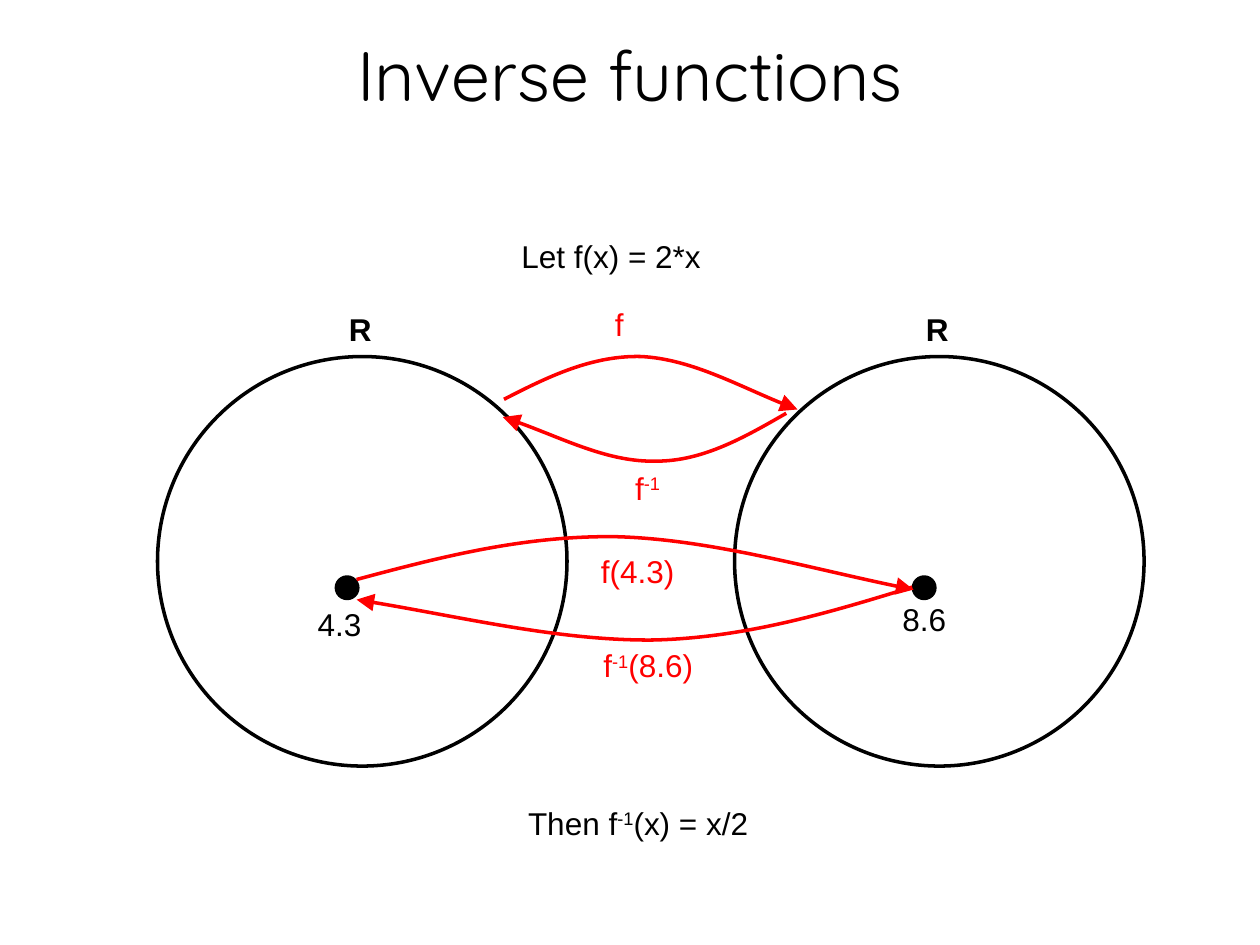
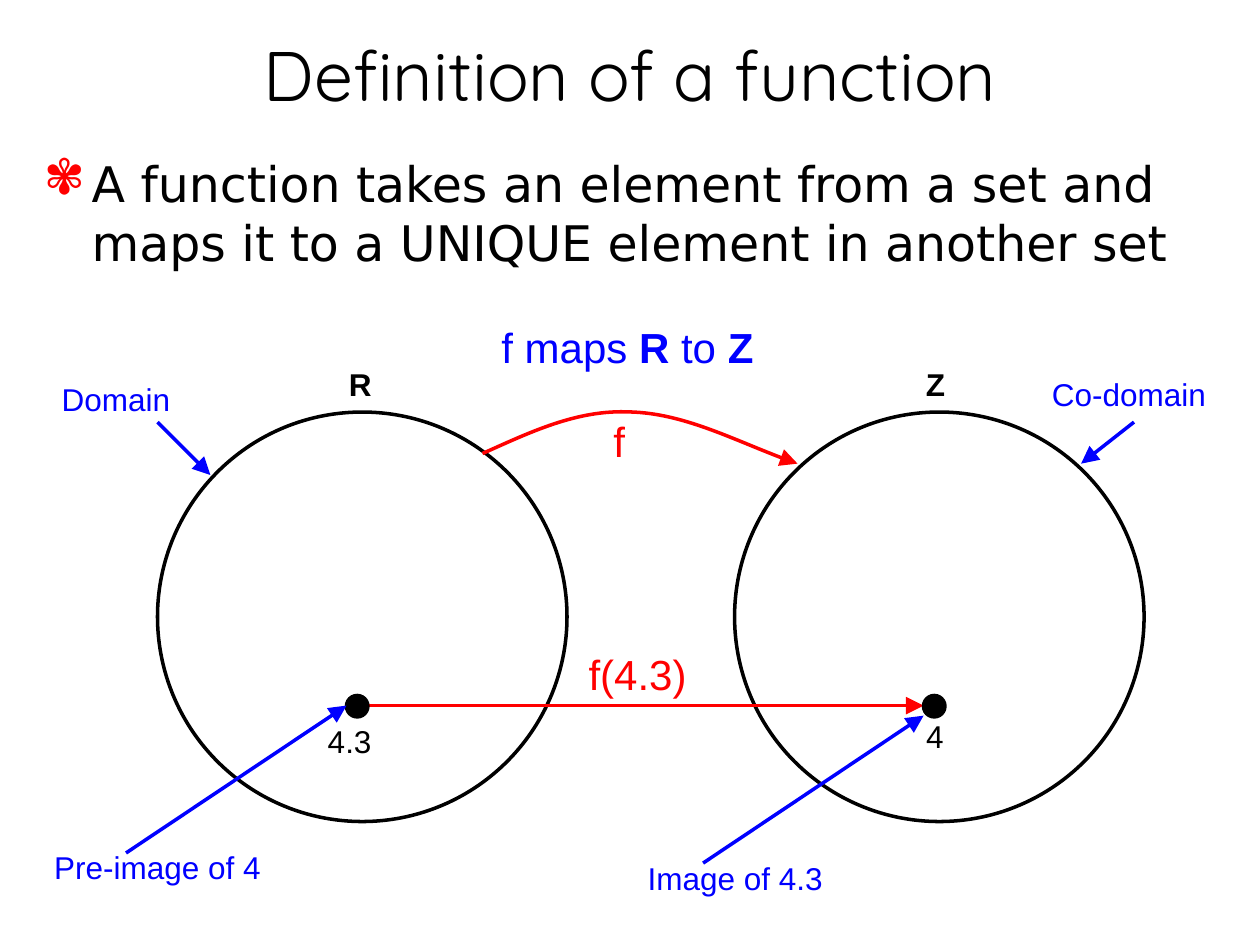
"""Build two slides that explain functions and their inverses."""
from dataclasses import dataclass

from pptx import Presentation
from pptx.dml.color import RGBColor
from pptx.enum.shapes import MSO_CONNECTOR, MSO_SHAPE
from pptx.enum.text import MSO_ANCHOR, MSO_AUTO_SIZE, PP_ALIGN
from pptx.oxml import parse_xml
from pptx.oxml.ns import nsdecls, qn
from pptx.util import Inches, Pt

OVAL = MSO_SHAPE.OVAL
STRAIGHT = MSO_CONNECTOR.STRAIGHT
LEFT, CENTER = PP_ALIGN.LEFT, PP_ALIGN.CENTER
TOP, MIDDLE = MSO_ANCHOR.TOP, MSO_ANCHOR.MIDDLE
GROW = MSO_AUTO_SIZE.SHAPE_TO_FIT_TEXT
BLANK_LAYOUT = 6

SET_LEFT, SET_SPACING, SET_SIZE = 1.25, 4.58, 3.25
DOT_SIZE = 0.17
INVERSE = ("-1", "super")


@dataclass(frozen=True)
class Theme:
    ink: str = "000000"
    mapping: str = "FF0000"
    note: str = "0000FF"
    paper: str = "FFFFFF"
    title_font: str = "Quicksand"
    body_font: str = "DejaVu Sans"
    label_font: str = "Arial"
    title_size: int = 40
    body_size: int = 28
    large_size: int = 24
    label_size: int = 18
    line_width: int = 2


THEME = Theme()


def drawing_element(tag, attributes=""):
    return parse_xml(f"<a:{tag} {nsdecls('a')} {attributes}/>")


class SlideBuilder:
    def __init__(self, deck, theme):
        self.deck = deck
        self.theme = theme
        self.page = None

    def new_page(self, title):
        self.page = self.deck.slides.add_slide(self.deck.slide_layouts[BLANK_LAYOUT])
        fill = self.page.background.fill
        fill.solid()
        fill.fore_color.rgb = RGBColor.from_string(self.theme.paper)
        self.text((0.25, 0.17, 9.5, 0.83), [title], self.theme.title_size,
                  self.theme.ink, self.theme.title_font, anchor=MIDDLE)

    def text(self, area, runs, size, color, font, align=CENTER, anchor=TOP, wrap=True):
        box = self.page.shapes.add_textbox(*map(Inches, area))
        frame = box.text_frame
        frame.word_wrap = wrap
        frame.vertical_anchor = anchor
        para = frame.paragraphs[0]
        para.alignment = align
        for run in runs:
            words, style = (run, "") if isinstance(run, str) else run
            span = para.add_run()
            span.text = words
            span.font.name = font
            span.font.size = Pt(size)
            span.font.bold = style == "bold"
            span.font.color.rgb = RGBColor.from_string(color)
            if style == "super":
                span._r.get_or_add_rPr().set("baseline", "30000")
        return frame

    def label(self, left, top, width, *runs, color=THEME.ink, large=False,
              align=CENTER, wrap=False):
        size = self.theme.large_size if large else self.theme.label_size
        height = 0.5 if large else 0.4
        frame = self.text((left, top, width, height), runs, size, color,
                          self.theme.label_font, align, wrap=wrap)
        frame.auto_size = GROW
        if not wrap:
            frame.margin_left = frame.margin_right = Inches(0)

    def bullet(self, area, words):
        frame = self.text(area, [words], self.theme.body_size, self.theme.ink,
                          self.theme.body_font, LEFT)
        properties = frame.paragraphs[0]._p.get_or_add_pPr()
        properties.set("marL", str(Inches(0.38)))
        properties.set("indent", str(Inches(-0.38)))
        bullet_color = drawing_element("buClr")
        bullet_color.append(drawing_element("srgbClr", f'val="{self.theme.mapping}"'))
        properties.append(bullet_color)
        properties.append(drawing_element("buChar", 'char="✾"'))

    def outline(self, shape, color, arrow=False):
        shape.line.color.rgb = RGBColor.from_string(color)
        shape.line.width = Pt(self.theme.line_width)
        if arrow:
            line = shape._element.spPr.find(qn("a:ln"))
            line.append(drawing_element("tailEnd", 'type="triangle" w="lg" len="lg"'))

    def circle(self, left, top, size, filled=False):
        shape = self.page.shapes.add_shape(OVAL, *map(Inches, (left, top, size, size)))
        shape.shadow.inherit = False
        if filled:
            shape.fill.solid()
            shape.fill.fore_color.rgb = RGBColor.from_string(self.theme.ink)
        else:
            shape.fill.background()
        self.outline(shape, self.theme.ink)

    def sets(self, top, *names):
        for index, name in enumerate(names):
            left = SET_LEFT + index * SET_SPACING
            self.circle(left, top, SET_SIZE)
            self.label(left + 1.42, top - 0.42, 0.38, (name, "bold"),
                       align=LEFT, wrap=True)

    def dots(self, left, top):
        for index in range(2):
            self.circle(left + index * SET_SPACING, top, DOT_SIZE, filled=True)

    def arrow(self, start, end, color):
        line = self.page.shapes.add_connector(STRAIGHT, *map(Inches, start + end))
        self.outline(line, color, arrow=True)
        line._element.spPr.append(drawing_element("effectLst"))

    def curve(self, start, *controls):
        """Draw an arrow through cubic segments, three control points each."""
        builder = self.page.shapes.build_freeform(*map(Inches, start))
        builder.add_line_segments([tuple(map(Inches, point)) for point in controls],
                                  close=False)
        shape = builder.convert_to_shape()
        segments = list(shape._element.spPr.iter(qn("a:lnTo")))
        for first in range(0, len(segments), 3):
            cubic = drawing_element("cubicBezTo")
            segments[first].addprevious(cubic)
            for segment in segments[first:first + 3]:
                cubic.append(segment[0])
                segment.getparent().remove(segment)
        shape.shadow.inherit = False
        shape.fill.background()
        self.outline(shape, self.theme.mapping, arrow=True)


def inverse_functions(slide):
    red = slide.theme.mapping
    slide.new_page("Inverse functions")
    slide.sets(2.83, "R", "R")
    slide.curve((4, 3.17), (4.35, 2.99), (4.7, 2.82), (5.09, 2.83),
                (5.48, 2.85), (5.93, 3.1), (6.33, 3.25))
    slide.label(4.78, 2.37, 0.27, "f", color=red)
    slide.dots(2.67, 4.58)
    slide.label(2.42, 4.75, 0.55, "4.3")
    slide.label(7.06, 4.71, 0.55, "8.6")
    slide.label(4.04, 1.83, 1.62, "Let f(x) = 2*x")
    slide.curve((2.83, 4.6), (3.5, 4.42), (4.16, 4.25), (4.89, 4.26),
                (5.63, 4.28), (6.49, 4.53), (7.25, 4.68))
    slide.curve((6.24, 3.28), (5.91, 3.47), (5.58, 3.66), (5.21, 3.66),
                (4.83, 3.67), (4.39, 3.44), (3.99, 3.31))
    slide.label(4.93, 3.67, 0.42, "f", INVERSE, color=red)
    slide.label(4.67, 4.33, 0.78, "f(4.3)", color=red)
    slide.curve((7.24, 4.66), (6.59, 4.86), (5.93, 5.06), (5.2, 5.08),
                (4.46, 5.09), (3.59, 4.88), (2.83, 4.76))
    slide.label(4.68, 5.08, 0.93, "f", INVERSE, "(8.6)", color=red)
    slide.label(4.08, 6.33, 1.97, "Then f", INVERSE, "(x) = x/2")


def function_definition(slide):
    red, blue = slide.theme.mapping, slide.theme.note
    slide.new_page("Definition of a function")
    slide.bullet((0.25, 1.17, 9.5, 5.75),
                 "A function takes an element from a set and maps it "
                 "to a UNIQUE element in another set")
    slide.sets(3.27, "R", "Z")
    slide.curve((3.83, 3.6), (4.21, 3.43), (4.58, 3.25), (5, 3.27),
                (5.42, 3.28), (5.9, 3.53), (6.33, 3.68))
    slide.label(4.77, 3.25, 0.29, "f", color=red, large=True)
    slide.arrow((2.92, 5.6), (7.33, 5.6), red)
    slide.dots(2.75, 5.52)
    slide.label(2.5, 5.68, 0.55, "4.3")
    slide.label(7.25, 5.64, 0.34, "4")
    for left, top, width, words, start, end in (
        (0.39, 2.97, 1.06, "Domain", (1.25, 3.35), (1.67, 3.77)),
        (8.25, 2.93, 1.42, "Co-domain", (9, 3.35), (8.58, 3.68)),
        (0.33, 6.68, 1.84, "Pre-image of 4", (1, 6.77), (2.75, 5.6)),
        (5.04, 6.77, 1.59, "Image of 4.3", (5.58, 6.85), (7.33, 5.68)),
    ):
        slide.arrow(start, end, blue)
        slide.label(left, top, width, words, color=blue)
    slide.label(3.88, 2.5, 2.2, "f maps ", ("R", "bold"), " to ", ("Z", "bold"),
                color=blue, large=True)
    slide.label(4.57, 5.1, 0.98, "f(4.3)", color=red, large=True)


def main():
    deck = Presentation()
    deck.slide_width, deck.slide_height = Inches(10), Inches(7.5)
    slide = SlideBuilder(deck, THEME)
    inverse_functions(slide)
    function_definition(slide)
    deck.save("out.pptx")


if __name__ == "__main__":
    main()
